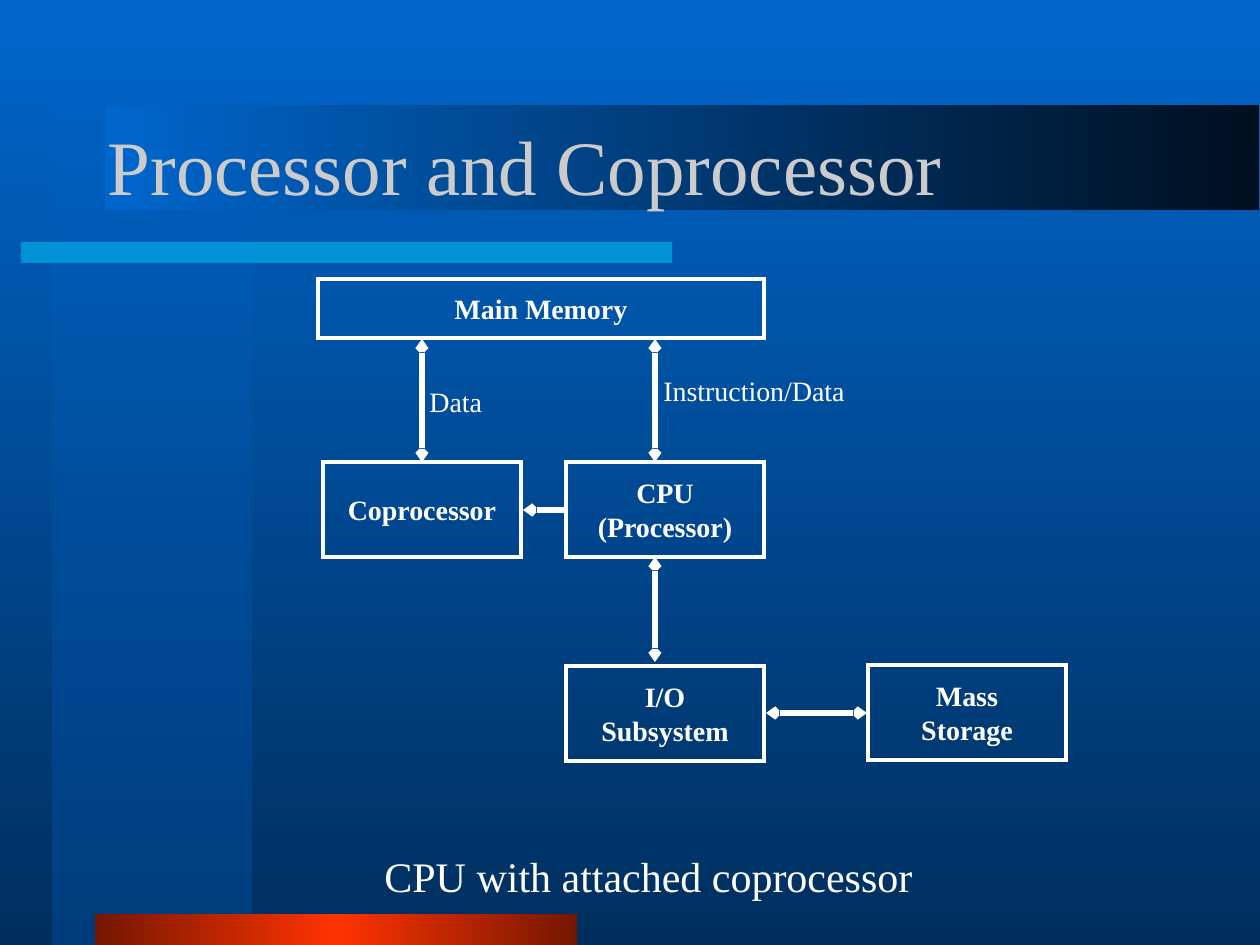
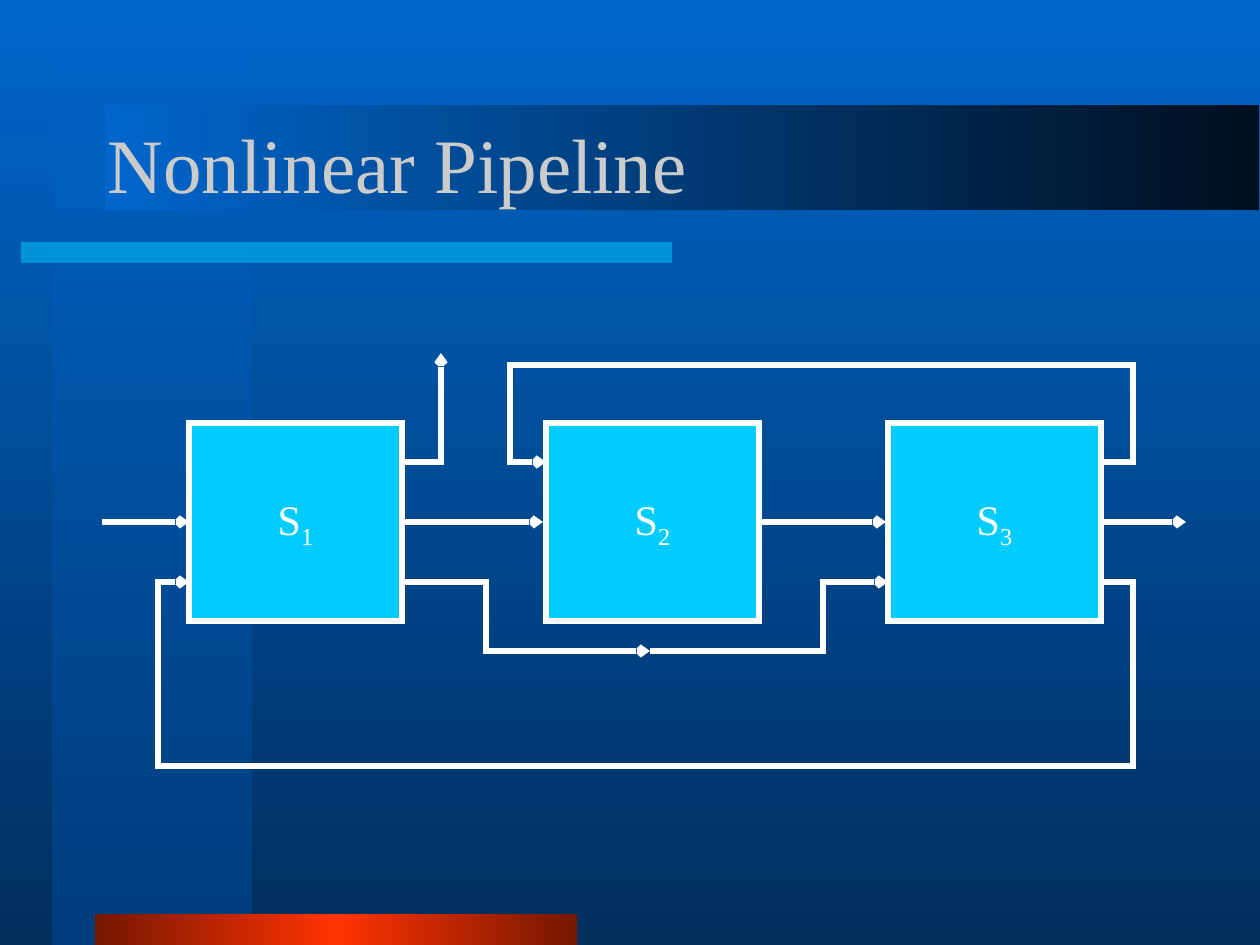
from lxml import etree
from pptx import Presentation
from pptx import util as u
from pptx.dml.color import RGBColor
from pptx.enum import shapes, text
from pptx.oxml.ns import qn

EMU_PER_PX = 914400 / 126
FONT = "Times New Roman"
COLORS = {
    "sky": "0066CC", "deep": "002F5E", "column": "003E7D", "night": "000F1F",
    "cyan": "00CCFF", "ember": "751700", "flame": "FF3300",
    "title": "CBCBCB", "white": "FFFFFF",
}


def write(frame, lines, size=16, color="white", bold=False, align="LEFT",
          anchor="MIDDLE", wrap=False, subscript=""):
    """Fill a text frame with one paragraph per line."""
    frame.word_wrap = wrap
    frame.auto_size = text.MSO_AUTO_SIZE.NONE
    frame.vertical_anchor = text.MSO_ANCHOR[anchor]
    for number, line in enumerate(lines):
        para = frame.add_paragraph() if number else frame.paragraphs[0]
        para.alignment = text.PP_ALIGN[align]
        for part in filter(None, (line, subscript)):
            span = para.add_run()
            span.text = part
            span.font.name = FONT
            span.font.size = u.Pt(size)
            span.font.bold = bold
            span.font.color.rgb = RGBColor.from_string(COLORS[color])
        if subscript:
            span.font._element.set("baseline", "-25000")


def draw_stroke(shape, weight=3, ends=()):
    """Give a shape a white stroke with sharp corners, arrowheads and no shadow."""
    shape.line.color.rgb = RGBColor.from_string(COLORS["white"])
    shape.line.width = u.Pt(weight)
    properties = shape.element.spPr
    stroke = properties.find(qn("a:ln"))
    etree.SubElement(stroke, qn("a:miter"), lim="800000")
    for end in ends:
        etree.SubElement(stroke, qn(f"a:{end}"), type="arrow", w="sm", len="sm")
    etree.SubElement(properties, qn("a:effectLst"))


deck = Presentation()
deck.slide_width, deck.slide_height = u.Inches(10), u.Inches(7.5)
master = deck.slide_master
title_only = deck.slide_layouts[5]

# Two slides with their titles
pages = []
for heading, top in (("Processor and Coprocessor", 86), ("Nonlinear Pipeline", 84)):
    page = deck.slides.add_slide(title_only)
    title = page.shapes.title
    title.left, title.top, title.width, title.height = (
        round(px * EMU_PER_PX) for px in (95, top, 1071, 158))
    write(title.text_frame, [heading], size=44, color="title", wrap=True)
    pages.append(page)
memory_page, pipeline_page = pages

# Shared background and bands, kept on the master; stops are (position, colour, opacity)
gradients = [(master.background.fill, master.element,
              [(0, "sky", 100), (100, "deep", 100)], 270)]
bands = [
    ((53, 0, 199, 945), [(0, "sky", 50), (100, "column", 100)], 270),
    ((21, 242, 651, 21), [(0, "cyan", 50), (100, "cyan", 50)], 0),
    ((95, 914, 482, 31), [(0, "ember", 100), (50, "flame", 100), (100, "ember", 100)], 180),
    ((105, 105, 1154, 105), [(0, "night", 100), (100, "sky", 100)], 180),
]
for position, (place, stops, angle) in enumerate(bands, start=2):
    band = memory_page.shapes.add_shape(
        shapes.MSO_SHAPE.RECTANGLE, *(round(px * EMU_PER_PX) for px in place))
    band.shadow.inherit = False
    band.line.fill.background()
    master.shapes.element.insert(position, band.element)
    gradients.append((band.fill, band.element, stops, angle))
for fill, owner, stops, angle in gradients:
    fill.gradient()
    fill.gradient_angle = angle
    stop_list = owner.find(".//" + qn("a:gsLst"))
    for old_stop in list(stop_list):
        stop_list.remove(old_stop)
    for percent, color, opacity in stops:
        stop = etree.SubElement(stop_list, qn("a:gs"), pos=str(percent * 1000))
        shade = etree.SubElement(stop, qn("a:srgbClr"), val=COLORS[color])
        if opacity < 100:
            etree.SubElement(shade, qn("a:alpha"), val=str(opacity * 1000))

# Boxes: computer units on the first slide, pipeline stages on the second
unit = dict(size=16, bold=True)
boxes = [
    (memory_page, (318, 279, 446, 59), ["Main Memory"], None, 2, unit),
    (memory_page, (323, 462, 198, 95), ["Coprocessor"], None, 2, unit),
    (memory_page, (566, 462, 198, 95), ["CPU", "(Processor)"], None, 2, unit),
    (memory_page, (566, 666, 198, 95), ["I/O", "Subsystem"], None, 2, unit),
    (memory_page, (868, 665, 198, 95), ["Mass", "Storage"], None, 2, unit),
]
for number, left in enumerate((189, 546, 888), start=1):
    stage = dict(size=24, subscript=str(number))
    boxes.append((pipeline_page, (left, 423, 213, 198), ["S"], "cyan", 3, stage))
for page, place, lines, color, weight, style in boxes:
    box = page.shapes.add_shape(
        shapes.MSO_SHAPE.RECTANGLE, *(round(px * EMU_PER_PX) for px in place))
    if color:
        box.fill.solid()
        box.fill.fore_color.rgb = RGBColor.from_string(COLORS[color])
    else:
        box.fill.background()
    draw_stroke(box, weight)
    write(box.text_frame, lines, align="CENTER", **style)

# Labels and caption, each box a little wider than its text
for label, place, size in (
    ("Instruction/Data", (651, 367, 225, 47), 16),
    ("Data", (417, 378, 95, 47), 16),
    ("CPU with attached coprocessor", (372, 844, 600, 63), 24),
):
    box = memory_page.shapes.add_textbox(*(round(px * EMU_PER_PX) for px in place))
    write(box.text_frame, [label], size=size, anchor="TOP", wrap=True)

# Straight arrows
both, forward = ("headEnd", "tailEnd"), ("tailEnd",)
arrows = [
    (memory_page, (655, 339, 655, 462), both),
    (memory_page, (655, 557, 655, 662), both),
    (memory_page, (422, 339, 422, 462), both),
    (memory_page, (564, 510, 523, 510), forward),
    (memory_page, (867, 713, 766, 713), both),
]
for start, end in ((404, 543), (762, 886), (102, 189), (1101, 1186)):
    arrows.append((pipeline_page, (start, 522, end, 522), forward))
for page, points, ends in arrows:
    arrow = page.shapes.add_connector(
        shapes.MSO_CONNECTOR.STRAIGHT, *(round(px * EMU_PER_PX) for px in points))
    draw_stroke(arrow, ends=ends)

# Bent routes between the pipeline stages
upper, lower = 462, 582
routes = [
    [(402, upper), (441, upper), (441, 353)],
    [(1101, upper), (1133, upper), (1133, 365), (510, 365), (510, upper), (546, upper)],
    [(1101, lower), (1133, lower), (1133, 766), (158, 766), (158, lower), (189, lower)],
    [(402, lower), (486, lower), (486, 651), (650, 651)],
    [(650, 651), (823, 651), (823, lower), (888, lower)],
]
for start, *bends in routes:
    builder = pipeline_page.shapes.build_freeform(*start, scale=EMU_PER_PX)
    builder.add_line_segments(bends, close=False)
    route = builder.convert_to_shape()
    route.fill.background()
    draw_stroke(route, ends=forward)

deck.save("out.pptx")
